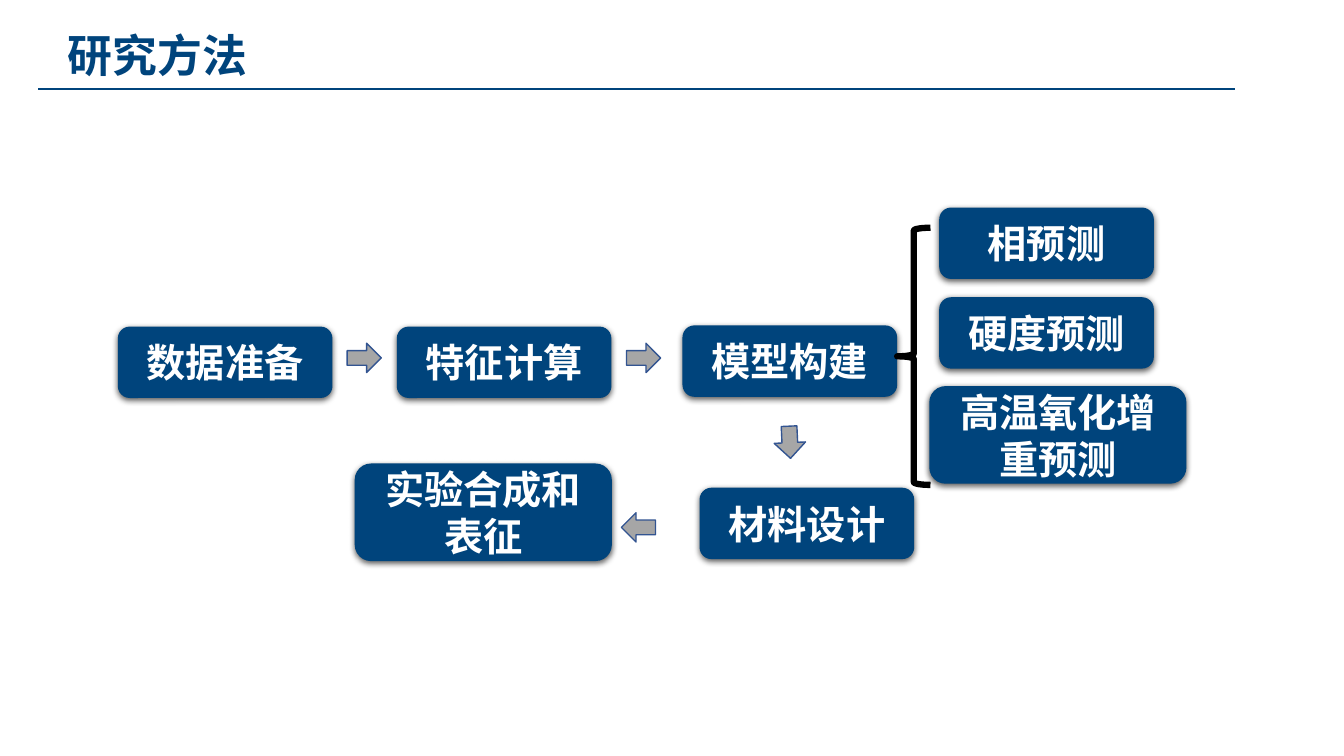
from lxml import etree
from pptx import Presentation
from pptx.dml.color import RGBColor
from pptx.enum.shapes import MSO_CONNECTOR, MSO_SHAPE
from pptx.enum.text import MSO_ANCHOR, PP_ALIGN
from pptx.oxml import parse_xml
from pptx.oxml.ns import nsdecls, qn
from pptx.util import Cm, Pt

STRAIGHT = MSO_CONNECTOR.STRAIGHT
ROUNDED = MSO_SHAPE.ROUNDED_RECTANGLE
RIGHT, LEFT, DOWN = MSO_SHAPE.RIGHT_ARROW, MSO_SHAPE.LEFT_ARROW, MSO_SHAPE.DOWN_ARROW
BRACE = MSO_SHAPE.LEFT_BRACE
MIDDLE = MSO_ANCHOR.MIDDLE
ALIGN_LEFT, ALIGN_CENTER = PP_ALIGN.LEFT, PP_ALIGN.CENTER

FONT = "Noto Sans CJK SC"
COLORS = {"navy": "00447C", "white": "FFFFFF", "grey": "A6A6A6",
          "outline": "325491", "black": "000000"}

# Lengths in centimetres
TITLE = "研究方法"
SMALL, LARGE = (5.41, 1.8), (6.48, 2.46)
STEPS = [  # text, left, top, size
    ("数据准备", 2.97, 8.23, SMALL),
    ("特征计算", 10.0, 8.23, SMALL),
    ("模型构建", 17.2, 8.2, SMALL),
    ("相预测", 23.67, 5.23, SMALL),
    ("硬度预测", 23.67, 7.49, SMALL),
    ("高温氧化增重预测", 23.42, 9.73, LARGE),
    ("材料设计", 17.63, 12.29, SMALL),
    ("实验合成和表征", 8.94, 11.68, LARGE),
]
SIDEWAYS, DOWNWARD = (0.86, 0.74), (0.79, 0.81)
ARROWS = [  # preset, left, top, size, rotation
    (RIGHT, 8.75, 8.65, SIDEWAYS, 0),
    (RIGHT, 15.79, 8.65, SIDEWAYS, 0),
    (DOWN, 19.51, 10.74, DOWNWARD, 357.4),
    (LEFT, 15.66, 12.92, SIDEWAYS, 0),
]


def color(name):
    return RGBColor.from_string(COLORS[name])


def write(shape, text, size, color_name, alignment):
    frame = shape.text_frame
    frame.text = text
    frame.word_wrap = True
    frame.vertical_anchor = MIDDLE
    paragraph = frame.paragraphs[0]
    paragraph.alignment = alignment
    font = paragraph.runs[0].font
    font.size, font.bold, font.name = Pt(size), True, FONT
    font.color.rgb = color(color_name)
    latin = paragraph.runs[0]._r.rPr.find(qn("a:latin"))
    east_asian = etree.Element(qn("a:ea"), typeface=FONT)
    latin.addnext(east_asian)


def add_preset(slide, preset, left, top, size):
    width, height = size
    shape = slide.shapes.add_shape(preset, Cm(left), Cm(top), Cm(width), Cm(height))
    shape.shadow.inherit = False
    return shape


def add_step(slide, text, left, top, size):
    shape = add_preset(slide, ROUNDED, left, top, size)
    shape.fill.solid()
    shape.fill.fore_color.rgb = color("navy")
    shape.line.fill.background()
    effects = shape._element.spPr.find(qn("a:effectLst"))
    effects.append(parse_xml(
        f'<a:outerShdw {nsdecls("a")} blurRad="{Pt(4.5)}" dist="{Pt(1.5)}" '
        f'dir="5400000" rotWithShape="0"><a:srgbClr val="{COLORS["black"]}">'
        '<a:alpha val="63000"/></a:srgbClr></a:outerShdw>'))
    write(shape, text, 28, "white", ALIGN_CENTER)


def add_arrow(slide, preset, left, top, size, rotation):
    shape = add_preset(slide, preset, left, top, size)
    shape.rotation = rotation
    shape.fill.solid()
    shape.fill.fore_color.rgb = color("grey")
    shape.line.color.rgb = color("outline")
    shape.line.width = Pt(1)


def add_header(slide):
    rule = slide.shapes.add_connector(STRAIGHT, Cm(0.97), Cm(2.24), Cm(31.12), Cm(2.24))
    rule.line.color.rgb = color("navy")
    rule.line.width = Pt(1.5)
    etree.SubElement(rule._element.spPr, qn("a:effectLst"))
    title = slide.shapes.title
    title.left, title.top, title.width, title.height = Cm(1.45), Cm(0.56), Cm(29.64), Cm(1.63)
    write(title, TITLE, 32, "navy", ALIGN_LEFT)


def add_brace(slide):
    brace = add_preset(slide, BRACE, 22.61, 5.74, (0.84, 6.48))
    brace.fill.background()
    brace.line.color.rgb = color("black")
    brace.line.width = Pt(4.5)


def main():
    presentation = Presentation()
    presentation.slide_width, presentation.slide_height = Cm(33.87), Cm(19.05)
    slide = presentation.slides.add_slide(presentation.slide_layouts.get_by_name("Title Only"))
    add_header(slide)
    for step in STEPS:
        add_step(slide, *step)
    for arrow in ARROWS:
        add_arrow(slide, *arrow)
    add_brace(slide)
    presentation.save("out.pptx")


if __name__ == "__main__":
    main()
